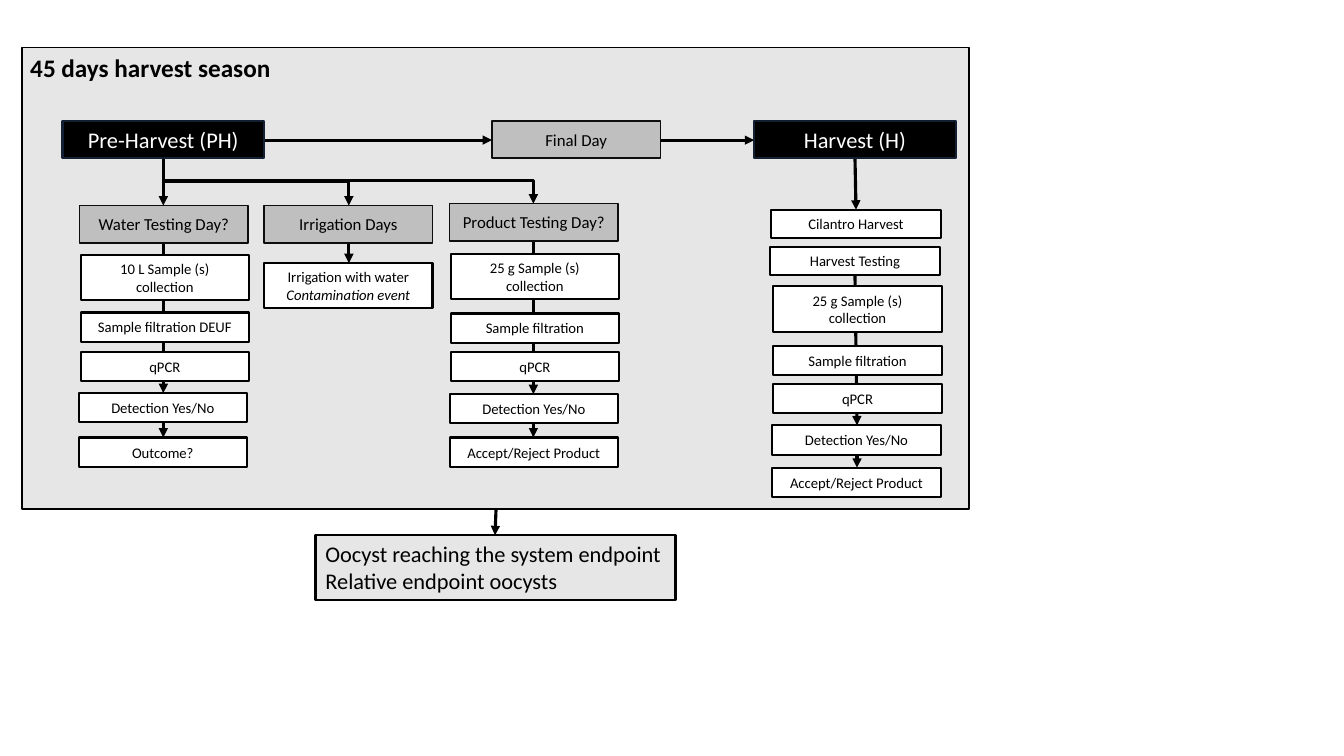
from dataclasses import dataclass

from lxml.etree import SubElement
from pptx import Presentation
from pptx.dml.color import RGBColor
from pptx.enum.shapes import MSO_CONNECTOR, MSO_SHAPE
from pptx.enum.text import MSO_ANCHOR, MSO_AUTO_SIZE, PP_ALIGN
from pptx.oxml.ns import qn
from pptx.util import Emu, Pt

PX = 9144  # 100 px to the inch
FONT = "Calibri"
BLACK, WHITE, PANEL, GREY = "000000", "FFFFFF", "E7E6E6", "BFBFBF"


@dataclass(frozen=True)
class Style:
    fill: str
    line: str
    weight: float
    size: float
    color: str = BLACK
    align: PP_ALIGN = PP_ALIGN.CENTER
    anchor: MSO_ANCHOR = MSO_ANCHOR.MIDDLE
    wrap: bool = True


PHASE = Style(BLACK, "131F33", 1.5, 16, WHITE)
DAY = Style(GREY, "0D0D0D", 1, 12)
STEP = Style(WHITE, BLACK, 1.5, 10.5)
SEASON = Style(PANEL, BLACK, 1, 18)
ENDPOINT = Style(PANEL, BLACK, 1.5, 16, align=PP_ALIGN.LEFT,
                 anchor=MSO_ANCHOR.TOP, wrap=False)


@dataclass(frozen=True)
class Box:
    lines: tuple[str, ...]
    left: int
    top: int
    width: int
    height: int
    style: Style
    italic_line: int = -1


@dataclass(frozen=True)
class Column:
    """Three test steps, then two result steps set slightly to the left."""
    test_left: int
    result_left: int
    tops: tuple[int, ...]
    labels: tuple[str, ...]


@dataclass(frozen=True)
class Arrow:
    x1: int
    y1: int
    x2: int
    y2: int
    bent: bool = False


STEP_HEIGHTS = (45, 29, 29, 29, 29)
COLUMNS = (
    Column(80, 78, (253, 310, 349, 390, 434),
           ("10 L Sample (s) collection", "Sample filtration DEUF", "qPCR",
            "Detection Yes/No", "Outcome?")),
    Column(447, 446, (252, 311, 349, 391, 434),
           ("25 g Sample (s) collection", "Sample filtration", "qPCR",
            "Detection Yes/No", "Accept/Reject Product")),
    Column(767, 766, (284, 343, 381, 422, 464),
           ("25 g Sample (s) collection", "Sample filtration", "qPCR",
            "Detection Yes/No", "Accept/Reject Product")),
)
BOXES = (
    Box(("Pre-Harvest (PH)",), 62, 120, 200, 37, PHASE),
    Box(("Final Day",), 488, 120, 167, 37, DAY),
    Box(("Harvest (H)",), 748, 120, 200, 37, PHASE),
    Box(("Water Testing Day?",), 79, 204, 167, 37, DAY),
    Box(("Irrigation Days",), 262, 204, 167, 37, DAY),
    Box(("Product Testing Day?",), 446, 202, 167, 37, DAY),
    Box(("Irrigation with water", "Contamination event"), 262, 261, 167, 45, STEP, 1),
    Box(("Cilantro Harvest",), 765, 208, 168, 28, STEP),
    Box(("Harvest Testing",), 764, 245, 168, 28, STEP),
    Box(("Oocyst reaching the system endpoint", "Relative endpoint oocysts"),
        313, 531, 357, 64, ENDPOINT),
)
ARROWS = (
    Arrow(262, 139, 488, 139),
    Arrow(655, 139, 748, 139),
    Arrow(162, 157, 162, 204),
    Arrow(162, 157, 346, 204, bent=True),
    Arrow(162, 157, 529, 202, bent=True),
    Arrow(848, 157, 849, 208),
    Arrow(346, 241, 346, 261),
    Arrow(162, 241, 162, 390),
    Arrow(162, 419, 162, 434),
    Arrow(529, 239, 529, 391),
    Arrow(529, 419, 529, 434),
    Arrow(848, 273, 850, 422),
    Arrow(850, 451, 850, 464),
    Arrow(492, 505, 491, 531),
)


def px(n: float) -> Emu:
    return Emu(round(n * PX))


def rgb(color: str) -> RGBColor:
    return RGBColor.from_string(color)


def add_run(p, text: str, size: float, color: str, bold=False, italic=False) -> None:
    r = p.add_run()
    r.text = text
    r.font.name = FONT
    r.font.size = Pt(size)
    r.font.bold = bold
    r.font.italic = italic
    r.font.color.rgb = rgb(color)


def add_box(s, box: Box):
    style = box.style
    sp = s.shapes.add_shape(MSO_SHAPE.RECTANGLE, px(box.left), px(box.top),
                            px(box.width), px(box.height))
    sp.shadow.inherit = False
    sp.fill.solid()
    sp.fill.fore_color.rgb = rgb(style.fill)
    sp.line.color.rgb = rgb(style.line)
    sp.line.width = Pt(style.weight)
    tf = sp.text_frame
    tf.word_wrap = style.wrap
    tf.vertical_anchor = style.anchor
    for i, line in enumerate(box.lines):
        p = tf.add_paragraph() if i else tf.paragraphs[0]
        p.alignment = style.align
        add_run(p, line, style.size, style.color, italic=i == box.italic_line)
    return sp


def add_arrow(s, a: Arrow) -> None:
    if a.bent:
        # A vertical-first elbow is a horizontal one turned by 270 degrees.
        cx, cy = (a.x1 + a.x2) / 2, (a.y1 + a.y2) / 2
        half_w, half_h = (a.y2 - a.y1) / 2, (a.x2 - a.x1) / 2
        c = s.shapes.add_connector(MSO_CONNECTOR.ELBOW, px(cx + half_w), px(cy - half_h),
                                   px(cx - half_w), px(cy + half_h))
        c._element.spPr.find(qn("a:xfrm")).set("rot", str(270 * 60000))
    else:
        c = s.shapes.add_connector(MSO_CONNECTOR.STRAIGHT, px(a.x1), px(a.y1),
                                   px(a.x2), px(a.y2))
    c.line.color.rgb = rgb(BLACK)
    c.line.width = Pt(2.25)
    SubElement(c.line._get_or_add_ln(), qn("a:tailEnd"), type="triangle")
    SubElement(c._element.spPr, qn("a:effectLst"))


def format_title(title) -> None:
    title.left, title.top, title.width, title.height = px(20), px(47), px(277), px(40)
    tf = title.text_frame
    tf.word_wrap = True
    tf.auto_size = MSO_AUTO_SIZE.NONE
    tf.vertical_anchor = MSO_ANCHOR.TOP
    p = tf.paragraphs[0]
    p.alignment = PP_ALIGN.LEFT
    add_run(p, "45 days harvest season", 18, BLACK, bold=True)


def column_boxes(col: Column) -> list[Box]:
    lefts = (col.test_left,) * 3 + (col.result_left,) * 2
    return [Box((label,), left, top, 167, height, STEP)
            for label, left, top, height in zip(col.labels, lefts, col.tops, STEP_HEIGHTS)]


def main() -> None:
    prs = Presentation()
    prs.slide_width, prs.slide_height = px(1333), px(750)
    s = prs.slides.add_slide(prs.slide_layouts[5])
    season = add_box(s, Box((), 22, 47, 939, 458, SEASON))
    title = s.shapes.title
    format_title(title)
    season._element.addnext(title._element)  # the title lies on the panel
    for arrow in ARROWS:
        add_arrow(s, arrow)
    for box in BOXES:
        add_box(s, box)
    for col in COLUMNS:
        for box in column_boxes(col):
            add_box(s, box)
    prs.save("out.pptx")


if __name__ == "__main__":
    main()
